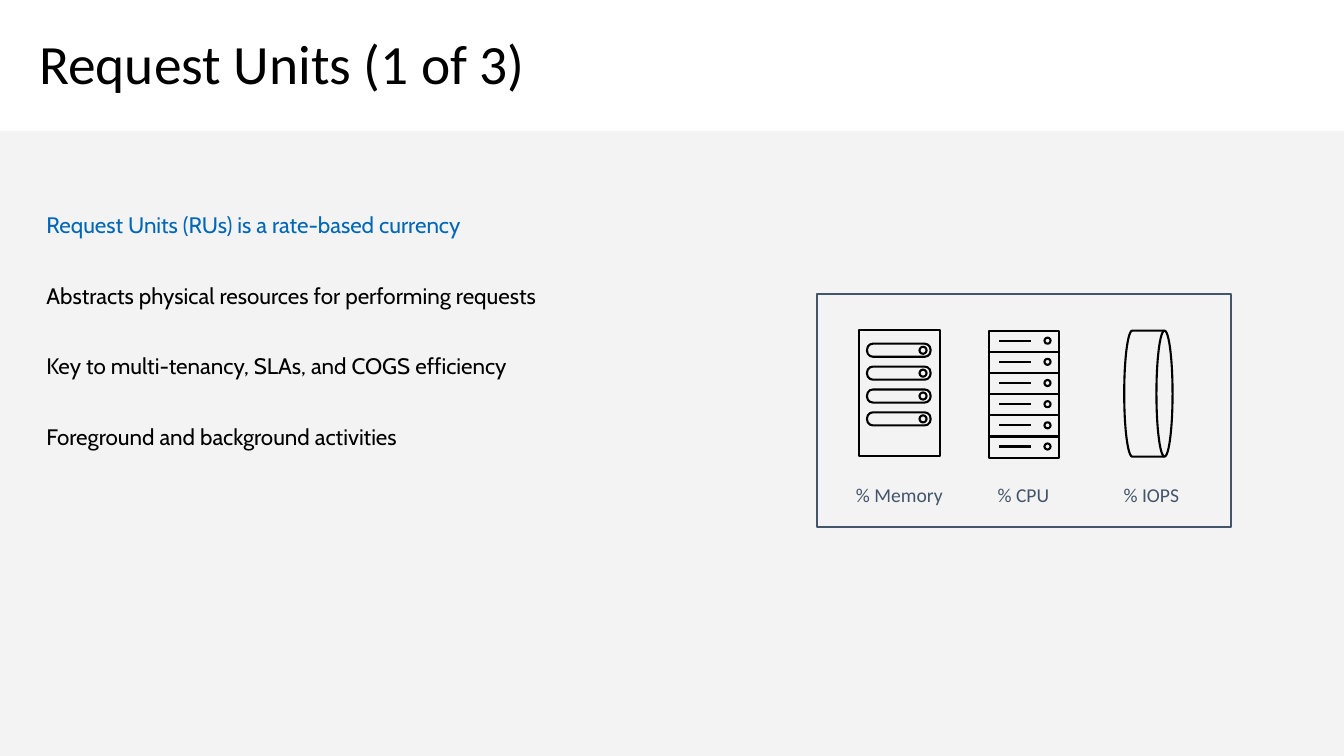
"""Build the Request Units slide with its resource diagram."""
from dataclasses import dataclass

import pptx
import pptx.dml.color
import pptx.enum.shapes
import pptx.enum.text
import pptx.oxml.ns
import pptx.util
from lxml import etree

Inches = pptx.util.Inches
Pt = pptx.util.Pt
RGBColor = pptx.dml.color.RGBColor
MSO_SHAPE = pptx.enum.shapes.MSO_SHAPE
PP_ALIGN = pptx.enum.text.PP_ALIGN
qn = pptx.oxml.ns.qn

BLACK = RGBColor(0x00, 0x00, 0x00)
BLUE = RGBColor(0x00, 0x67, 0xB7)
SLATE = RGBColor(0x44, 0x54, 0x6A)
PALE = RGBColor(0xF2, 0xF2, 0xF2)


@dataclass
class Box:
    left: float
    top: float
    width: float
    height: float


@dataclass
class Label:
    text: str
    box: Box


@dataclass
class Point:
    text: str
    color: RGBColor


POINTS = [
    Point("Request Units (RUs) is a rate-based currency", BLUE),
    Point("Abstracts physical resources for performing requests", BLACK),
    Point("Key to multi-tenancy, SLAs, and COGS efficiency", BLACK),
    Point("Foreground and background activities", BLACK),
]
LABELS = [
    Label("% Memory", Box(8.24, 4.74, 1.36, 0.39)),
    Label("% CPU", Box(9.69, 4.74, 0.92, 0.39)),
    Label("% IOPS", Box(10.94, 4.74, 0.96, 0.39)),
]


def add_outline(shapes, kind: MSO_SHAPE, box: Box, color: RGBColor = BLACK):
    sp = shapes.add_shape(kind, Inches(box.left), Inches(box.top),
                          Inches(box.width), Inches(box.height))
    sp.shadow.inherit = False
    sp.fill.background()
    sp.line.color.rgb = color
    sp.line.width = Pt(1.5)
    return sp


def add_line(shapes, left: float, right: float, y: float) -> None:
    cn = shapes.add_connector(pptx.enum.shapes.MSO_CONNECTOR.STRAIGHT,
                              Inches(left), Inches(y), Inches(right), Inches(y))
    cn.line.color.rgb = BLACK
    cn.line.width = Pt(1.5)
    etree.SubElement(cn._element.spPr, qn("a:effectLst"))


def add_text_frame(shapes, box: Box, text: str):
    tb = shapes.add_textbox(Inches(box.left), Inches(box.top),
                            Inches(box.width), Inches(box.height))
    tf = tb.text_frame
    tf.word_wrap = True
    tf.text = text
    return tf


def style(p, font: str, size: float, color: RGBColor) -> None:
    for r in p.runs:
        r.font.name = font
        r.font.size = Pt(size)
        r.font.color.rgb = color


def add_panel(shapes) -> None:
    sp = add_outline(shapes, MSO_SHAPE.RECTANGLE, Box(0, 1.3, 13.33, 6.2))
    sp.line.fill.background()
    sp.fill.solid()
    sp.fill.fore_color.rgb = PALE
    color = sp._element.spPr.find(qn("a:solidFill"))[0]
    etree.SubElement(color, qn("a:alpha")).set("val", "89000")


def add_title(shapes) -> None:
    tf = add_text_frame(shapes, Box(0.29, 0.32, 6.05, 0.68), "Request Units (1 of 3)")
    tf.vertical_anchor = pptx.enum.text.MSO_ANCHOR.MIDDLE
    p = tf.paragraphs[0]
    p.line_spacing = 0.9
    style(p, "Calibri", 39.6, BLACK)


def add_points(shapes) -> None:
    tf = add_text_frame(shapes, Box(0.3, 1.73, 6.22, 2.78),
                        "\n".join(point.text for point in POINTS))
    tf.margin_left = tf.margin_right = Inches(0.16)
    tf.margin_top = tf.margin_bottom = Inches(0.1)
    for i, (p, point) in enumerate(zip(tf.paragraphs, POINTS)):
        p.line_spacing = 2.0
        p.space_before = Pt(8 if i else 0)
        p.space_after = Pt(4)
        style(p, "Cabin", 16, point.color)


def add_memory(shapes) -> None:
    add_outline(shapes, MSO_SHAPE.RECTANGLE, Box(8.52, 3.27, 0.8, 1.25))
    for i in range(4):
        top = 3.41 + i * 0.227
        slot = add_outline(shapes, MSO_SHAPE.ROUNDED_RECTANGLE, Box(8.6, top, 0.63, 0.13))
        slot.adjustments[0] = 0.45
        add_outline(shapes, MSO_SHAPE.OVAL, Box(9.12, top + 0.03, 0.07, 0.07))


def add_cpu(shapes) -> None:
    for i in range(6):
        top = 3.28 + i * 0.21
        add_outline(shapes, MSO_SHAPE.RECTANGLE, Box(9.81, top, 0.69, 0.21))
        add_outline(shapes, MSO_SHAPE.OVAL, Box(10.36, top + 0.07, 0.06, 0.06))
        add_line(shapes, 9.91, 10.23, top + 0.1)


def add_labels(shapes) -> None:
    for label in LABELS:
        p = add_text_frame(shapes, label.box, label.text).paragraphs[0]
        p.alignment = PP_ALIGN.CENTER
        style(p, "Calibri", 14, SLATE)


def main() -> None:
    prs = pptx.Presentation()
    prs.slide_width = Inches(13.33)
    prs.slide_height = Inches(7.5)
    s = prs.slides.add_slide(prs.slide_layouts[6])
    add_panel(s.shapes)
    add_title(s.shapes)
    add_points(s.shapes)
    diagram = s.shapes.add_group_shape().shapes
    add_outline(diagram, MSO_SHAPE.RECTANGLE, Box(8.1, 2.92, 4.11, 2.31), SLATE)
    add_cpu(diagram)
    add_outline(diagram, MSO_SHAPE.FLOWCHART_DIRECT_ACCESS_STORAGE,
                Box(11.15, 3.28, 0.48, 1.25))
    add_memory(diagram)
    add_labels(diagram)
    prs.save("out.pptx")


if __name__ == "__main__":
    main()
